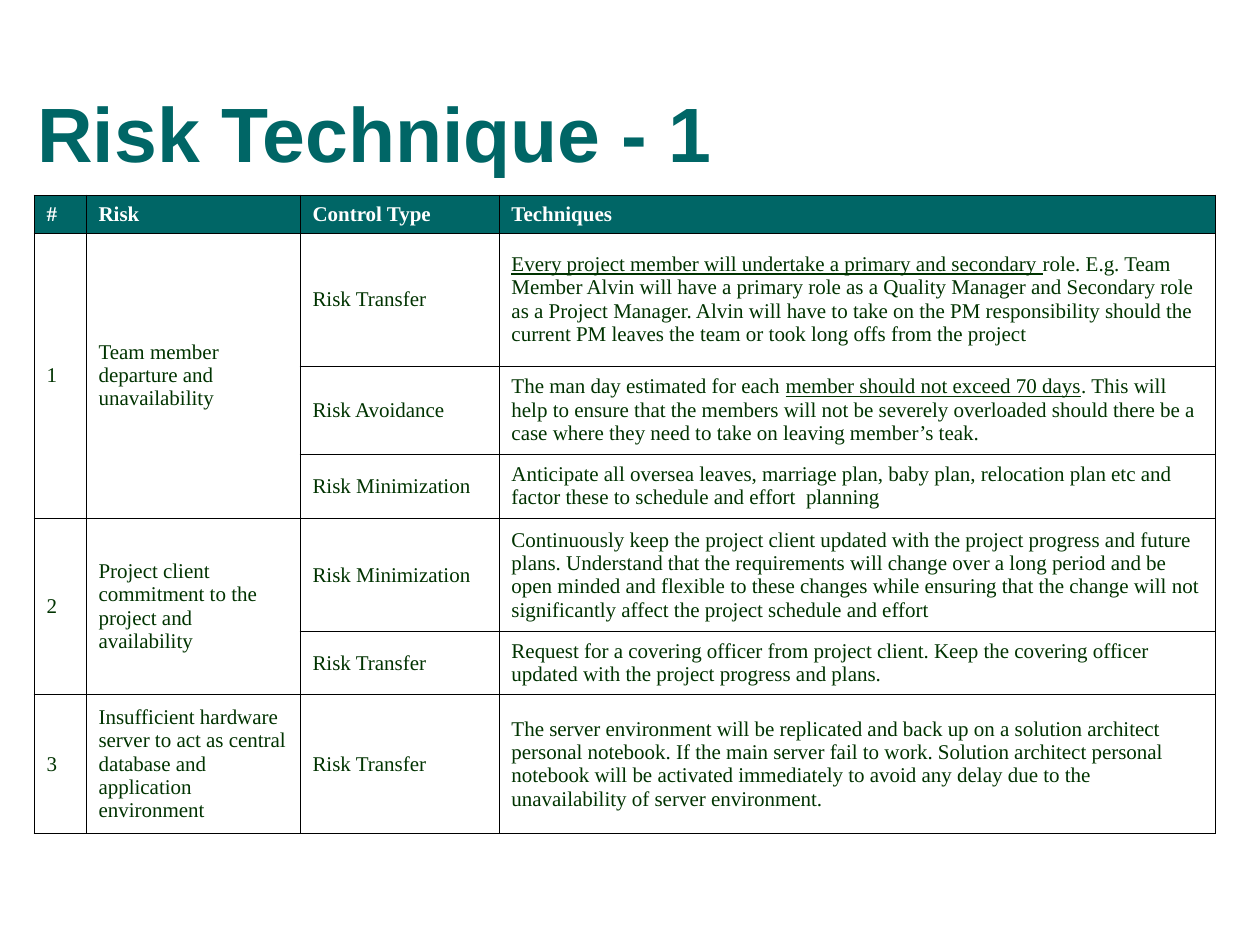
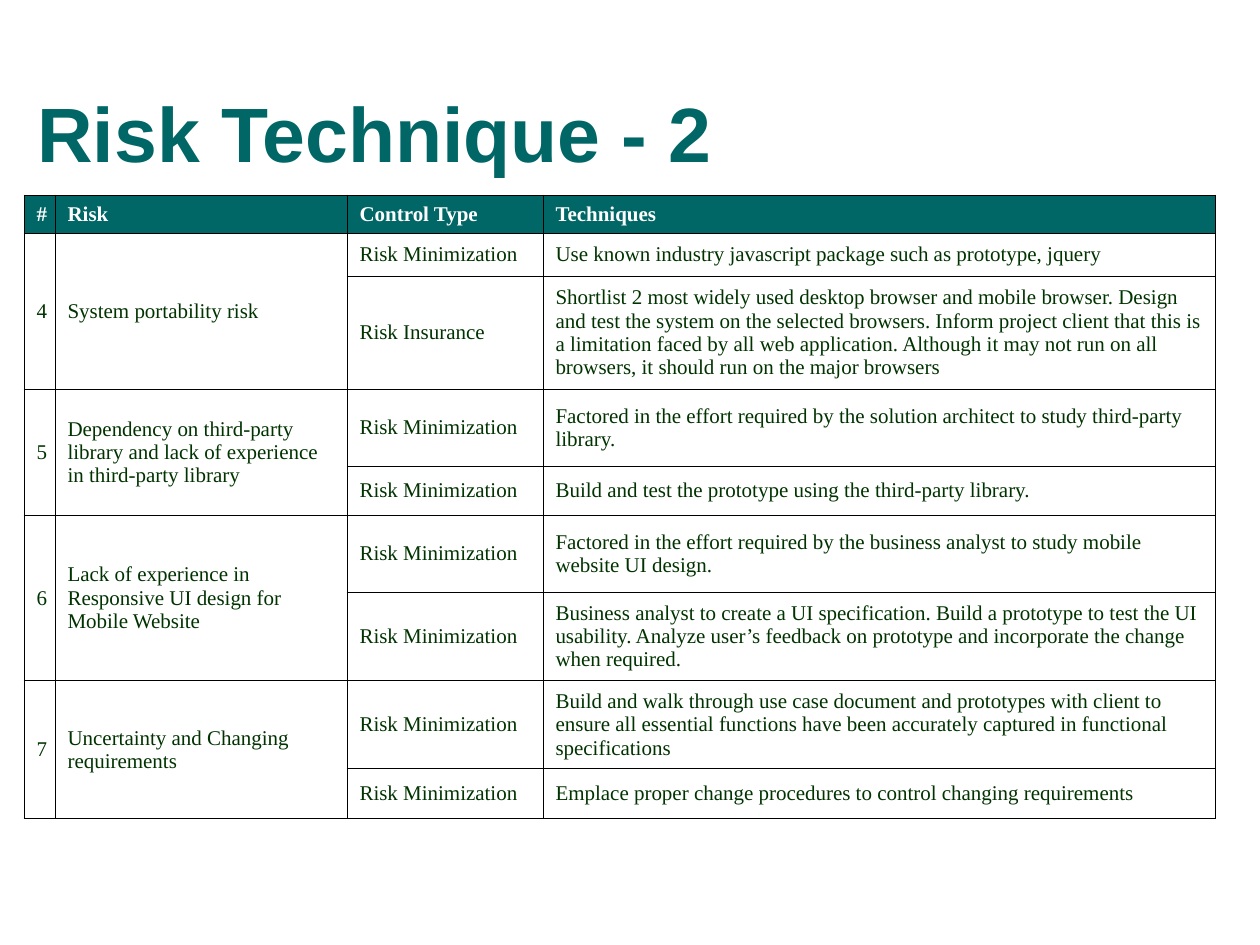
"""Build two slides that tabulate project risks and the techniques that control them."""
from lxml.etree import SubElement
from pptx import Presentation
from pptx.dml.color import RGBColor
from pptx.enum.text import MSO_ANCHOR
from pptx.oxml.ns import qn
from pptx.util import Emu, Pt

TEAL = RGBColor(0x00, 0x66, 0x66)
DARK_GREEN = RGBColor(0x00, 0x33, 0x00)
WHITE = RGBColor(0xFF, 0xFF, 0xFF)
BLACK = RGBColor(0x00, 0x00, 0x00)

PIXELS_PER_INCH = 126
TITLE_BOX = (25, 71, 1081, 121)
TABLE_TOP = 195
BORDER_WIDTH = Pt(0.45)
UNDERLINE_MARK = "_"

HEADINGS = ("#", "Risk", "Control Type", "Techniques")
TRANSFER = "Risk Transfer"
AVOIDANCE = "Risk Avoidance"
MINIMIZATION = "Risk Minimization"
INSURANCE = "Risk Insurance"

SLIDES = [
    {
        "title": "Risk Technique - 1",
        "left": 34,
        "columns": (52, 214, 199, 716),
        "rows": (38, 133, 88, 64, 113, 63, 139),
        "risks": [
            ("1", "Team member departure and unavailability", [
                (TRANSFER, "_Every project member will undertake a primary and secondary _role. "
                 "E.g. Team Member Alvin will have a primary role as a Quality Manager and "
                 "Secondary role as a Project Manager. Alvin will have to take on the PM "
                 "responsibility should the current PM leaves the team or took long offs "
                 "from the project"),
                (AVOIDANCE, "The man day estimated for each _member should not exceed 70 days_. "
                 "This will help to ensure that the members will not be severely overloaded "
                 "should there be a case where they need to take on leaving member’s teak."),
                (MINIMIZATION, "Anticipate all oversea leaves, marriage plan, baby plan, "
                 "relocation plan etc and factor these to schedule and effort  planning"),
            ]),
            ("2", "Project client commitment to the project and availability", [
                (MINIMIZATION, "Continuously keep the project client updated with the project "
                 "progress and future plans. Understand that the requirements will change over "
                 "a long period and be open minded and flexible to these changes while ensuring "
                 "that the change will not significantly affect the project schedule and effort"),
                (TRANSFER, "Request for a covering officer from project client. Keep the "
                 "covering officer updated with the project progress and plans."),
            ]),
            ("3", "Insufficient hardware server to act as central database and application "
             "environment", [
                (TRANSFER, "The server environment will be replicated and back up on a solution "
                 "architect personal notebook. If the main server fail to work. Solution "
                 "architect personal notebook will be activated immediately to avoid any delay "
                 "due to the unavailability of server environment."),
            ]),
        ],
    },
    {
        "title": "Risk Technique - 2",
        "left": 24,
        "columns": (31, 292, 196, 672),
        "rows": (38, 43, 113, 77, 49, 77, 88, 88, 50),
        "risks": [
            ("4", "System portability risk", [
                (MINIMIZATION, "Use known industry javascript package such as prototype, jquery"),
                (INSURANCE, "Shortlist 2 most widely used desktop browser and mobile browser. "
                 "Design and test the system on the selected browsers. Inform project client "
                 "that this is a limitation faced by all web application. Although it may not "
                 "run on all browsers, it should run on the major browsers"),
            ]),
            ("5", "Dependency on third-party library and lack of experience in third-party "
             "library", [
                (MINIMIZATION, "Factored in the effort required by the solution architect to "
                 "study third-party library."),
                (MINIMIZATION, "Build and test the prototype using the third-party library."),
            ]),
            ("6", "Lack of experience in Responsive UI design for Mobile Website", [
                (MINIMIZATION, "Factored in the effort required by the business analyst to "
                 "study mobile website UI design."),
                (MINIMIZATION, "Business analyst to create a UI specification. Build a "
                 "prototype to test the UI usability. Analyze user’s feedback on prototype "
                 "and incorporate the change when required."),
            ]),
            ("7", "Uncertainty and Changing requirements", [
                (MINIMIZATION, "Build and walk through use case document and prototypes with "
                 "client to ensure all essential functions have been accurately captured in "
                 "functional specifications"),
                (MINIMIZATION, "Emplace proper change procedures to control changing "
                 "requirements"),
            ]),
        ],
    },
]


def px(length):
    return Emu(round(length * 914400 / PIXELS_PER_INCH))


def format_run(run, font_name, size, color, bold):
    run.font.name = font_name
    run.font.size = Pt(size)
    run.font.color.rgb = color
    run.font.bold = bold


def add_title(slide, title):
    text_frame = slide.shapes.add_textbox(*map(px, TITLE_BOX)).text_frame
    text_frame.word_wrap = True
    text_frame.vertical_anchor = MSO_ANCHOR.MIDDLE
    text_frame.text = title
    format_run(text_frame.paragraphs[0].runs[0], "Arial", 44, TEAL, True)


def add_borders(cell):
    properties = cell._tc.get_or_add_tcPr()
    for side in ("a:lnL", "a:lnR", "a:lnT", "a:lnB"):
        line = SubElement(properties, qn(side), w=str(BORDER_WIDTH))
        fill = SubElement(line, qn("a:solidFill"))
        SubElement(fill, qn("a:srgbClr"), val=str(BLACK))


def style_cell(cell, is_heading):
    add_borders(cell)
    cell.vertical_anchor = MSO_ANCHOR.MIDDLE
    if is_heading:
        cell.fill.solid()
        cell.fill.fore_color.rgb = TEAL
    else:
        cell.fill.background()


def write_cell(cell, text, is_heading=False):
    paragraph = cell.text_frame.paragraphs[0]
    for index, part in enumerate(text.split(UNDERLINE_MARK)):
        if part:
            run = paragraph.add_run()
            run.text = part
            format_run(run, "Times New Roman", 12, WHITE if is_heading else DARK_GREEN, is_heading)
            run.font.underline = index % 2 == 1


def add_risk_table(slide, left, columns, rows, risks):
    table = slide.shapes.add_table(
        len(rows), len(columns), px(left), px(TABLE_TOP), px(sum(columns)), px(sum(rows))
    ).table
    table.first_row = table.horz_banding = False
    for column, width in zip(table.columns, columns):
        column.width = px(width)
    for row_index, (row, height) in enumerate(zip(table.rows, rows)):
        row.height = px(height)
        for cell in row.cells:
            style_cell(cell, row_index == 0)

    for column_index, heading in enumerate(HEADINGS):
        write_cell(table.cell(0, column_index), heading, True)
    first_row = 1
    for number, risk, controls in risks:
        last_row = first_row + len(controls) - 1
        for column_index, text in enumerate((number, risk)):
            cell = table.cell(first_row, column_index)
            if last_row > first_row:
                cell.merge(table.cell(last_row, column_index))
            write_cell(cell, text)
        for row_index, (control, technique) in enumerate(controls, first_row):
            write_cell(table.cell(row_index, 2), control)
            write_cell(table.cell(row_index, 3), technique)
        first_row = last_row + 1


def main():
    presentation = Presentation()
    presentation.slide_width, presentation.slide_height = px(1260), px(945)
    for content in SLIDES:
        slide = presentation.slides.add_slide(presentation.slide_layouts[6])
        add_title(slide, content["title"])
        add_risk_table(
            slide, content["left"], content["columns"], content["rows"], content["risks"]
        )
    presentation.save("out.pptx")


if __name__ == "__main__":
    main()
